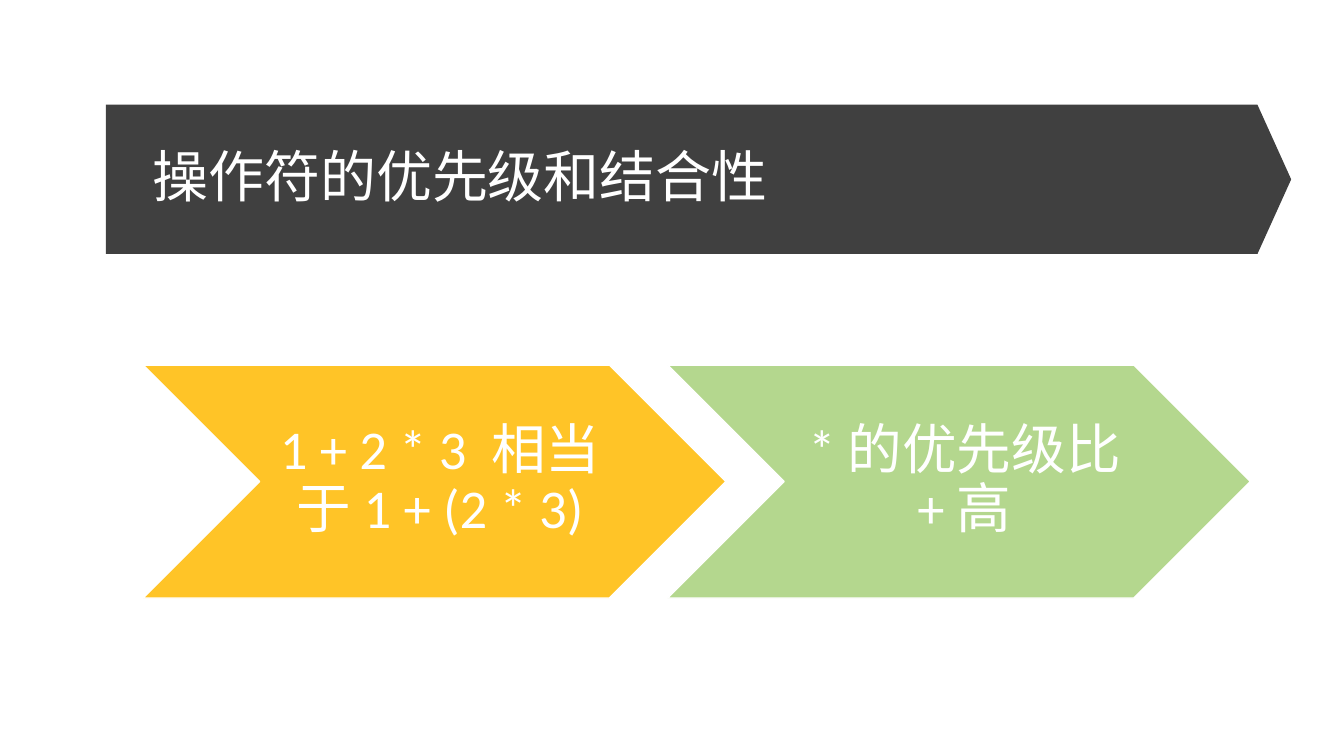
from pptx import Presentation
from pptx.dml.color import RGBColor
from pptx.enum.shapes import MSO_SHAPE as Shape
from pptx.enum.text import MSO_ANCHOR as Anchor, PP_ALIGN as Align
from pptx.util import Cm, Pt

WHITE = RGBColor(0xFF, 0xFF, 0xFF)
CHARCOAL = RGBColor(0x40, 0x40, 0x40)
AMBER = RGBColor(0xFF, 0xC4, 0x27)
GREEN = RGBColor(0xB4, 0xD7, 0x8E)

STEPS = [
    ("1 + 2 * 3  相当于 1 + (2 * 3)", AMBER),
    ("* 的优先级比 + 高", GREEN),
]


def write_text(shape, text, *, size, font, align, insets):
    frame = shape.text_frame
    frame.word_wrap = True
    frame.vertical_anchor = Anchor.MIDDLE
    frame.margin_left, frame.margin_top, frame.margin_right, frame.margin_bottom = map(Cm, insets)
    paragraph = frame.paragraphs[0]
    paragraph.alignment = align
    paragraph.line_spacing = 0.9
    run = paragraph.add_run()
    run.text = text
    run.font.size = Pt(size)
    run.font.name = font
    run.font.color.rgb = WHITE


def add_arrow(slide, preset, box, fill, tip):
    shape = slide.shapes.add_shape(preset, *map(Cm, box))
    shape.adjustments[0] = tip
    shape.shadow.inherit = False
    shape.fill.solid()
    shape.fill.fore_color.rgb = fill
    return shape


def add_title_banner(slide, box, text):
    banner = add_arrow(slide, Shape.PENTAGON, box, CHARCOAL, 0.226)
    banner.line.fill.background()
    write_text(banner, text, size=40, font="Quicksand", align=Align.LEFT,
               insets=(1.17, 0.13, 0.25, 0.13))


def add_chevron_process(slide, box, steps):
    left, top, width, height = box
    overlap = height / 4
    step_width = (width + overlap * (len(steps) - 1)) / len(steps)
    for index, (text, fill) in enumerate(steps):
        step_left = left + index * (step_width - overlap)
        chevron = add_arrow(slide, Shape.CHEVRON, (step_left, top, step_width, height), fill, 0.5)
        chevron.line.color.rgb = WHITE
        chevron.line.width = Pt(1)
        write_text(chevron, text, size=39, font="Calibri", align=Align.CENTER,
                   insets=(0.43, 0.15, 0.15, 0.15))


def main():
    presentation = Presentation()
    presentation.slide_width = Cm(33.87)
    presentation.slide_height = Cm(19.05)
    slide = presentation.slides.add_slide(presentation.slide_layouts[6])
    add_title_banner(slide, (2.67, 2.64, 29.87, 3.76), "操作符的优先级和结合性")
    add_chevron_process(slide, (3.61, 9.2, 27.9, 5.87), STEPS)
    presentation.save("out.pptx")


if __name__ == "__main__":
    main()
